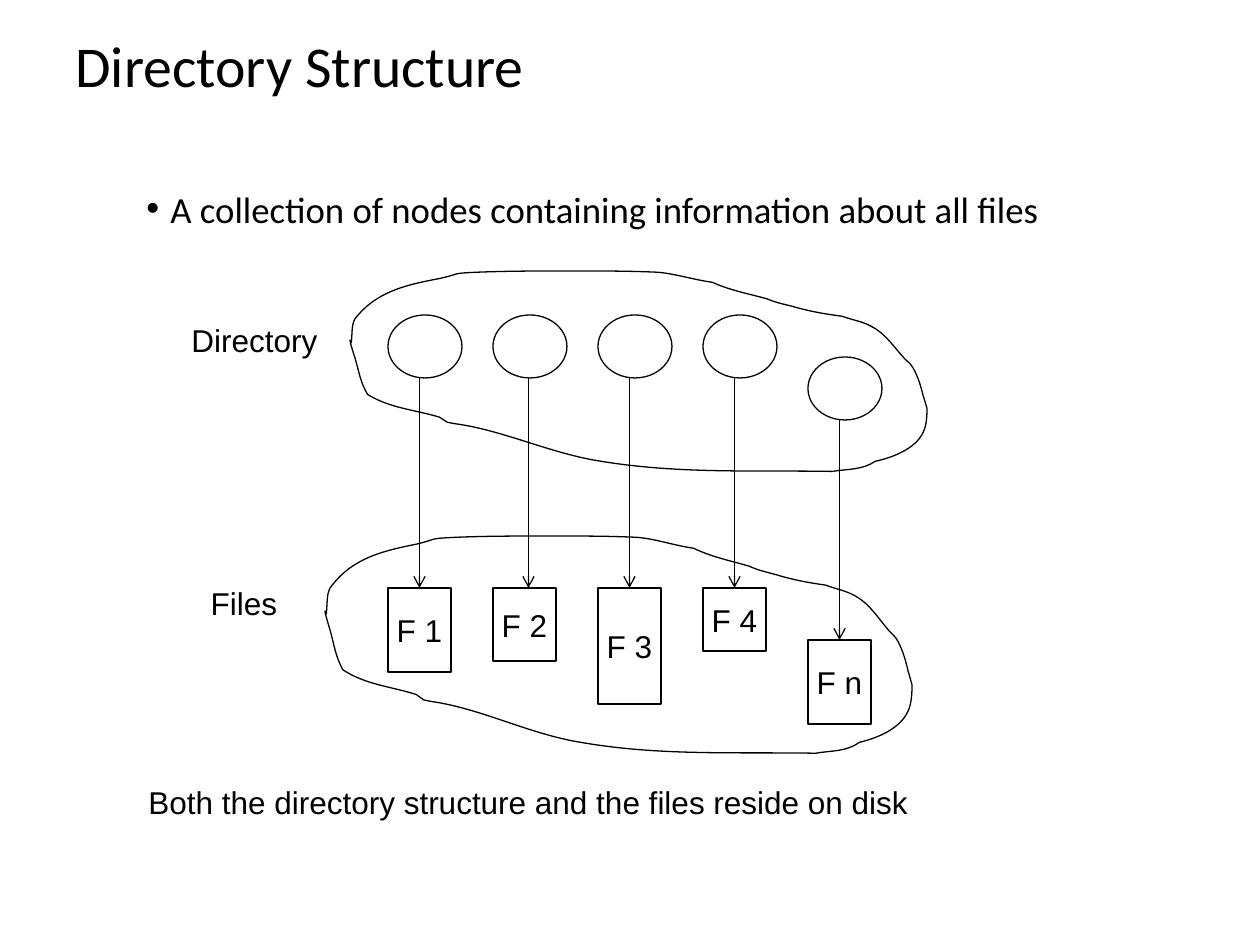
from dataclasses import dataclass

import pptx
import pptx.dml.color
import pptx.enum.shapes
import pptx.enum.text
import pptx.oxml
import pptx.oxml.ns
import pptx.util

PX = 914400 / 126
SHAPE = pptx.enum.shapes.MSO_SHAPE
ALIGN = pptx.enum.text.PP_ALIGN
ANCHOR = pptx.enum.text.MSO_ANCHOR
qn = pptx.oxml.ns.qn
A_NS = pptx.oxml.ns.nsdecls("a")


@dataclass(frozen=True)
class Theme:
    ink = pptx.dml.color.RGBColor(0, 0, 0)
    paper = pptx.dml.color.RGBColor(255, 255, 255)
    heading_font = "Calibri"
    label_font = "Arial"
    title_size = 33
    body_size = 21
    label_size = 18
    line_width = 0.75


THEME = Theme()

# Cloud outline on its own grid: a start, then three points for each curve
CLOUD_GRID = (457, 161)
CLOUD_START = (1, 57)
CLOUD_CURVES = [
    (2, 50), (1, 43), (4, 38), (21, 16), (45, 11), (71, 6),
    (89, 2), (79, 2), (101, 1), (126, 0), (151, 0), (177, 0),
    (199, 0), (221, 0), (243, 1), (257, 2), (272, 7), (287, 9),
    (300, 15), (315, 18), (330, 22), (337, 25), (342, 26), (350, 28),
    (364, 32), (375, 34), (390, 36), (398, 39), (406, 40), (413, 44),
    (423, 49), (430, 59), (437, 67), (440, 71), (444, 73), (446, 77),
    (450, 84), (452, 91), (454, 99), (455, 102), (457, 109), (457, 109),
    (457, 113), (457, 122), (454, 128), (448, 141), (430, 148), (416, 151),
    (406, 158), (394, 157), (382, 159), (318, 158), (260, 161), (199, 151),
    (159, 145), (121, 126), (82, 121), (80, 121), (79, 120), (77, 120),
    (75, 119), (73, 117), (71, 116), (51, 110), (32, 109), (14, 98),
    (8, 88), (7, 79), (4, 69), (4, 69), (0, 57), (0, 55),
    (0, 54), (1, 56), (1, 57),
]

# Name, drop of node, drop of file, file height, arrow shift
FILES = [
    ("F 1", 0, 0, 84, 0),
    ("F 2", 0, 0, 73, 4),
    ("F 3", 0, 0, 116, 0),
    ("F 4", 0, 0, 63, 0),
    ("F n", 42, 52, 84, 0),
]
FILE_PITCH = 105
NODE_W, NODE_H = 74, 63
FILE_W, FILE_TOP = 63, 273


def px(*lengths):
    return [round(n * PX) for n in lengths]


def style_text(p, font, size):
    for r in p.runs:
        r.font.name = font
        r.font.size = pptx.util.Pt(size)
        r.font.color.rgb = THEME.ink


def style_line(s):
    s.line.color.rgb = THEME.ink
    s.line.width = pptx.util.Pt(THEME.line_width)


def add_text(slide, box, text, font, size, wrap=True, anchor=ANCHOR.TOP, align=ALIGN.LEFT):
    tf = slide.shapes.add_textbox(*px(*box)).text_frame
    tf.word_wrap = wrap
    tf.vertical_anchor = anchor
    tf.text = text
    p = tf.paragraphs[0]
    p.alignment = align
    style_text(p, font, size)
    return p


def add_title(slide, box, text):
    p = add_text(slide, box, text, THEME.heading_font, THEME.title_size, anchor=ANCHOR.MIDDLE)
    p.line_spacing = 0.9


def add_bullet(slide, box, text):
    p = add_text(slide, box, text, THEME.heading_font, THEME.body_size)
    p.line_spacing = 0.8
    indent = px(24)[0]
    pPr = p._p.get_or_add_pPr()
    pPr.set("marL", str(indent))
    pPr.set("indent", str(-indent))
    pPr.append(pptx.oxml.parse_xml(f'<a:buFont {A_NS} typeface="Arial"/>'))
    pPr.append(pptx.oxml.parse_xml(f'<a:buChar {A_NS} char="•"/>'))


def add_label(slide, box, text):
    add_text(slide, box, text, THEME.label_font, THEME.label_size,
             wrap=False, anchor=ANCHOR.MIDDLE, align=ALIGN.CENTER)


def add_outlined(slide, kind, box):
    s = slide.shapes.add_shape(kind, *px(*box))
    s.shadow.inherit = False
    s.fill.solid()
    s.fill.fore_color.rgb = THEME.paper
    style_line(s)
    return s


def add_arrow(slide, x, top, bottom):
    line = slide.shapes.add_connector(
        pptx.enum.shapes.MSO_CONNECTOR.STRAIGHT, *px(x, top, x, bottom))
    style_line(line)
    line.line._get_or_add_ln().append(
        pptx.oxml.parse_xml(f'<a:tailEnd {A_NS} type="arrow"/>'))
    line._element.spPr.append(pptx.oxml.parse_xml(f"<a:effectLst {A_NS}/>"))
    return line


def add_file_column(slide, x, y, name, node_drop, file_drop, height, shift):
    """Directory node at the top, its file below, and the arrow between them."""
    node_top, file_top = y + node_drop, y + FILE_TOP + file_drop
    add_outlined(slide, SHAPE.OVAL, (x, node_top, NODE_W, NODE_H))
    file = add_outlined(slide, SHAPE.RECTANGLE, (x, file_top, FILE_W, height))
    tf = file.text_frame
    tf.word_wrap = False
    tf.vertical_anchor = ANCHOR.MIDDLE
    tf.text = name
    tf.paragraphs[0].alignment = ALIGN.CENTER
    style_text(tf.paragraphs[0], THEME.label_font, THEME.label_size)
    arrow = add_arrow(slide, x + FILE_W / 2 + shift, node_top + NODE_H, file_top)
    if not shift:
        arrow.end_connect(file, 0)


def add_cloud(slide, box):
    """Closed curved outline stretched over the box."""
    left, top, width, height = px(*box)
    scale = (width / CLOUD_GRID[0], height / CLOUD_GRID[1])
    builder = slide.shapes.build_freeform(*CLOUD_START, scale=scale)
    builder.add_line_segments(CLOUD_CURVES, close=True)
    s = builder.convert_to_shape(left, top)
    segments = list(s._element.iter(qn("a:lnTo")))
    for i in range(0, len(CLOUD_CURVES), 3):
        curve = pptx.oxml.parse_xml(f"<a:cubicBezTo {A_NS}/>")
        segments[i].addprevious(curve)
        for segment in segments[i:i + 3]:
            curve.append(segment[0])
            segment.getparent().remove(segment)
    s.shadow.inherit = False
    s.fill.background()
    style_line(s)


def add_diagram(slide, x, y):
    """Directory and file clouds, placed from the first node's corner."""
    for i, file in enumerate(FILES):
        add_file_column(slide, x + i * FILE_PITCH, y, *file)
    add_cloud(slide, (x - 38, y - 44, 577, 203))
    add_cloud(slide, (x - 63, y + 221, 587, 220))
    add_label(slide, (x - 209, y, 151, 50), "Directory")
    add_label(slide, (x - 190, y + 263, 92, 50), "Files")


def main():
    prs = pptx.Presentation()
    prs.slide_width, prs.slide_height = px(1260, 945)
    slide = prs.slides.add_slide(prs.slide_layouts[6])
    add_title(slide, (63, 29, 1134, 79), "Directory Structure")
    add_bullet(slide, (134, 189, 1016, 49),
               "A collection of nodes containing information about all files")
    add_diagram(slide, 388, 315)
    add_text(slide, (136, 777, 1047, 53),
             "Both the directory structure and the files reside on disk",
             THEME.label_font, THEME.label_size)
    prs.save("out.pptx")


if __name__ == "__main__":
    main()
